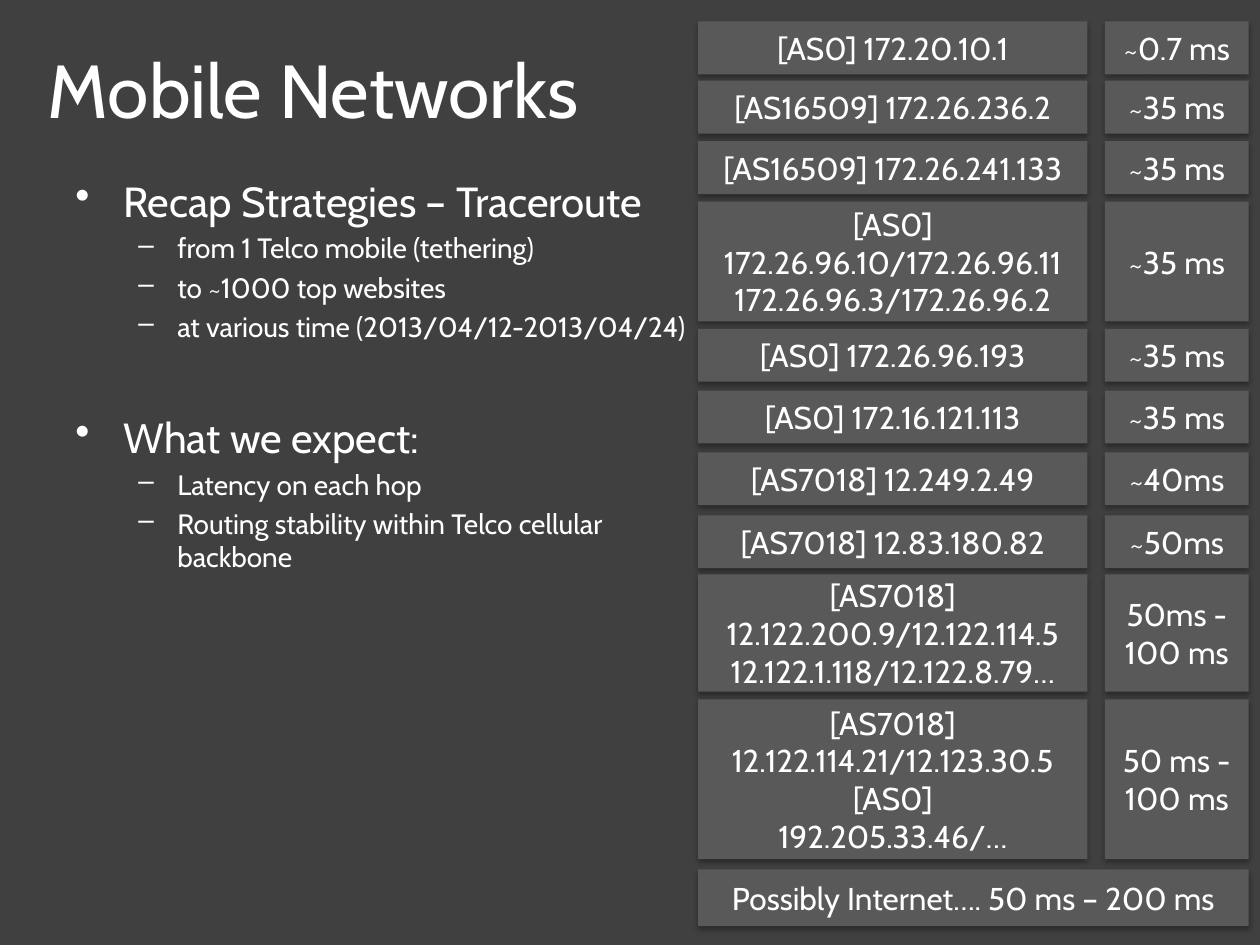
from dataclasses import dataclass

import pptx
import pptx.dml.color
import pptx.enum.shapes
import pptx.enum.text
import pptx.oxml
import pptx.oxml.ns
import pptx.util
from pptx.util import Inches


@dataclass(frozen=True)
class Theme:
    font: str = "Cabin"
    background: str = "404040"
    panel: str = "595959"
    text: str = "FFFFFF"
    shadow: str = "000000"
    title: float = 42.9
    heading: float = 24
    item: float = 16
    hop: float = 18


THEME = Theme()
ALIGN = pptx.enum.text.PP_ALIGN
ANCHOR = pptx.enum.text.MSO_ANCHOR

HOP_LEFT, HOP_WIDTH = 5.54, 3.09
DELAY_LEFT, DELAY_WIDTH = 8.77, 1.14
ROW_HEIGHT = 0.42

# Top, height, addresses, delay
HOPS = [
    (0.17, ROW_HEIGHT, "[AS0] 172.20.10.1", "~0.7 ms"),
    (0.64, ROW_HEIGHT, "[AS16509] 172.26.236.2", "~35 ms"),
    (1.12, ROW_HEIGHT, "[AS16509] 172.26.241.133", "~35 ms"),
    (1.6, 0.95, "[AS0] 172.26.96.10/172.26.96.11\n172.26.96.3/172.26.96.2", "~35 ms"),
    (2.61, ROW_HEIGHT, "[AS0] 172.26.96.193", "~35 ms"),
    (3.1, ROW_HEIGHT, "[AS0] 172.16.121.113", "~35 ms"),
    (3.59, ROW_HEIGHT, "[AS7018] 12.249.2.49", "~40ms"),
    (4.09, ROW_HEIGHT, "[AS7018] 12.83.180.82", "~50ms"),
    (4.56, 0.93, "[AS7018]\n12.122.200.9/12.122.114.5\n12.122.1.118/12.122.8.79…",
     "50ms -\n100 ms"),
    (5.55, 1.27, "[AS7018]\n12.122.114.21/12.123.30.5\n[AS0]\n192.205.33.46/…",
     "50 ms -\n100 ms"),
]

# Heading, space before it in points, items
SECTIONS = [
    ("Recap Strategies – Traceroute", 0, [
        "from 1 Telco mobile (tethering)",
        "to ~1000 top websites",
        "at various time (2013/04/12-2013/04/24)",
    ]),
    ("What we expect:", 39, [
        "Latency on each hop",
        "Routing stability within Telco cellular backbone",
    ]),
]


def rgb(value):
    return pptx.dml.color.RGBColor.from_string(value)


def write(para, text, *, size, align=ALIGN.LEFT, before=0, bullet=None, level=0,
          margin=0, hanging=0):
    """Put formatted text in a paragraph, with an optional hanging bullet."""
    if bullet:
        properties = para._p.get_or_add_pPr()
        properties.set("marL", str(Inches(margin)))
        properties.set("indent", str(-Inches(hanging)))
        mark = pptx.oxml.parse_xml(
            f'<a:buChar {pptx.oxml.ns.nsdecls("a")} char="{bullet}"/>')
        properties.append(mark)
    para.level = level
    para.alignment = align
    para.space_before = pptx.util.Pt(before)
    span = para.add_run()
    span.text = text
    span.font.name = THEME.font
    span.font.size = pptx.util.Pt(size)
    span.font.color.rgb = rgb(THEME.text)


def next_paragraph(frame):
    """Give the empty first paragraph, or a new one after it."""
    first = frame.paragraphs[0]
    return frame.add_paragraph() if first.runs else first


def add_title(page, text):
    title = page.shapes.title
    title.left, title.top = Inches(0.28), Inches(0.3)
    title.width, title.height = Inches(9.72), Inches(0.81)
    frame = title.text_frame
    frame.auto_size = pptx.enum.text.MSO_AUTO_SIZE.NONE
    frame.vertical_anchor = ANCHOR.MIDDLE
    write(frame.paragraphs[0], text, size=THEME.title)


def add_outline(page, sections):
    box = page.shapes.add_textbox(Inches(0.5), Inches(1.34), Inches(5.04), Inches(5.77))
    frame = box.text_frame
    frame.word_wrap = True
    for heading, before, items in sections:
        write(next_paragraph(frame), heading, size=THEME.heading, before=before,
              bullet="•", margin=0.38, hanging=0.38)
        for item in items:
            write(next_paragraph(frame), item, size=THEME.item, before=3.2,
                  bullet="–", level=1, margin=0.81, hanging=0.31)


def add_shadow(shape):
    shape.shadow.inherit = False
    effects = shape._element.spPr.find(pptx.oxml.ns.qn("a:effectLst"))
    effects.append(pptx.oxml.parse_xml(
        f'<a:outerShdw {pptx.oxml.ns.nsdecls("a")} blurRad="40000" dist="23000" '
        f'dir="5400000" rotWithShape="0"><a:srgbClr val="{THEME.shadow}">'
        '<a:alpha val="35000"/></a:srgbClr></a:outerShdw>'))


def add_panel(group, text, left, top, width, height):
    panel = group.shapes.add_shape(
        pptx.enum.shapes.MSO_SHAPE.RECTANGLE,
        Inches(left), Inches(top), Inches(width), Inches(height))
    panel.fill.solid()
    panel.fill.fore_color.rgb = rgb(THEME.panel)
    panel.line.fill.background()
    add_shadow(panel)
    frame = panel.text_frame
    frame.word_wrap = True
    frame.vertical_anchor = ANCHOR.MIDDLE
    for line in text.split("\n"):
        write(next_paragraph(frame), line, size=THEME.hop, align=ALIGN.CENTER)


def add_route(page):
    group = page.shapes.add_group_shape()
    for top, height, addresses, delay in HOPS:
        add_panel(group, addresses, HOP_LEFT, top, HOP_WIDTH, height)
        add_panel(group, delay, DELAY_LEFT, top, DELAY_WIDTH, height)
    # The last hop spans both columns
    add_panel(group, "Possibly Internet…. 50 ms – 200 ms", HOP_LEFT, 6.9,
              DELAY_LEFT + DELAY_WIDTH - HOP_LEFT, 0.45)


def main():
    deck = pptx.Presentation()
    deck.slide_width, deck.slide_height = Inches(10), Inches(7.5)
    page = deck.slides.add_slide(deck.slide_layouts.get_by_name("Title Only"))
    page.background.fill.solid()
    page.background.fill.fore_color.rgb = rgb(THEME.background)

    add_title(page, "Mobile Networks")
    add_outline(page, SECTIONS)
    add_route(page)
    deck.save("out.pptx")


if __name__ == "__main__":
    main()
